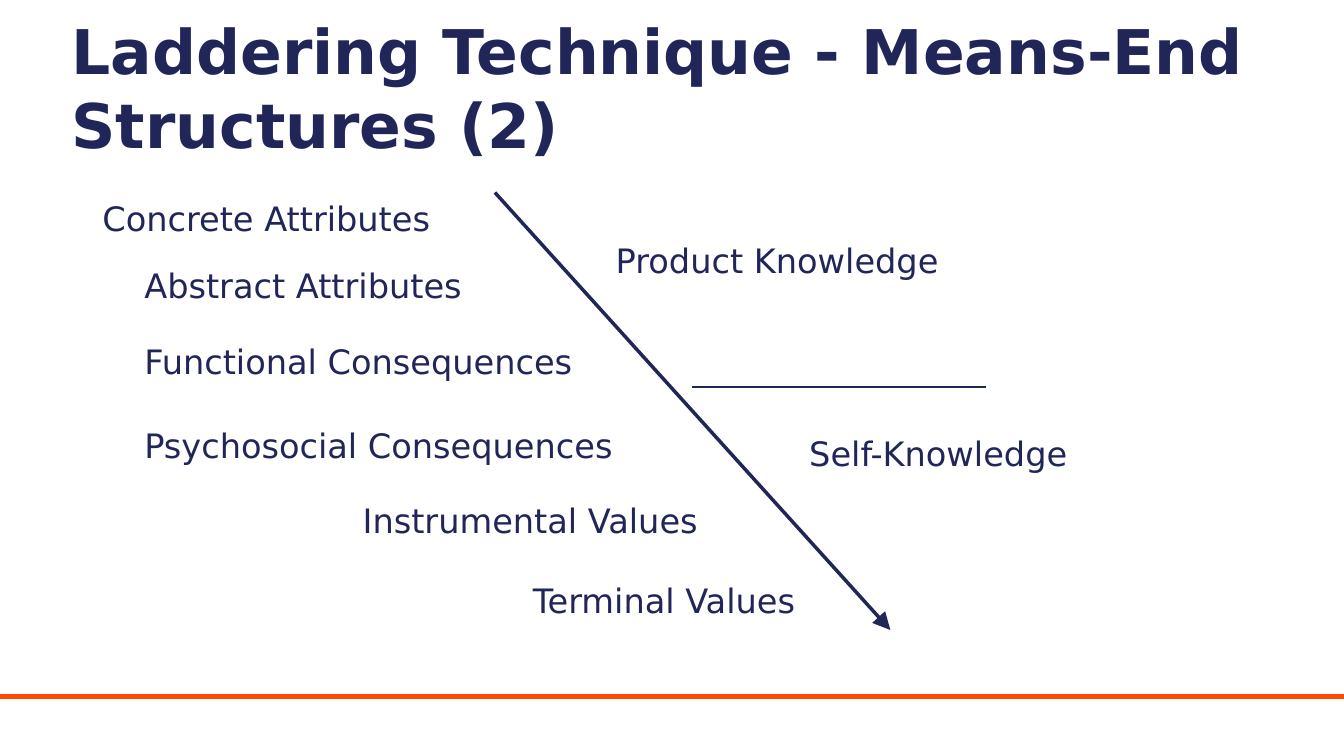
from pptx import Presentation, util as u
from pptx.dml.color import RGBColor
from pptx.enum import shapes, text
from pptx.oxml.ns import qn
from lxml import etree

NAVY = RGBColor(0x21, 0x26, 0x59)
ORANGE = RGBColor(0xFF, 0x4A, 0x00)
COLUMNS, ROWS = 160, 90

presentation = Presentation()
presentation.slide_width = u.Emu(12192000)
presentation.slide_height = u.Inches(7.5)
column = presentation.slide_width / COLUMNS
row = presentation.slide_height / ROWS
slide = presentation.slides.add_slide(presentation.slide_layouts[5])


def place(shape, left, top, width, height):
    frame = {"left": left * column, "top": top * row,
             "width": width * column, "height": height * row}
    for name, value in frame.items():
        setattr(shape, name, u.Emu(round(value)))


def write(shape, words, size, bold, frame_format):
    for name, value in frame_format.items():
        setattr(shape.text_frame, name, value)
    paragraph = shape.text_frame.paragraphs[0]
    paragraph.alignment = text.PP_ALIGN.LEFT
    run = paragraph.add_run()
    run.text = words
    font_format = {"name": "DejaVu Sans", "size": u.Pt(size), "bold": bold}
    for name, value in font_format.items():
        setattr(run.font, name, value)
    run.font.color.rgb = NAVY


title = slide.shapes.title
place(title, 7.32, 0.96, 148.92, 9.96)
title_format = {"word_wrap": True, "auto_size": text.MSO_AUTO_SIZE.NONE,
                "vertical_anchor": text.MSO_ANCHOR.TOP}
write(title, "Laddering Technique - Means-End Structures (2)", 44, True, title_format)

labels = [
    ("Concrete Attributes", 11, 23, 50),
    ("Abstract Attributes", 16, 31, 53),
    ("Functional Consequences", 16, 40, 62),
    ("Psychosocial Consequences", 16, 50, 70),
    ("Instrumental Values", 42, 58.92, 55),
    ("Terminal Values", 62.25, 68.4, 43),
    ("Product Knowledge", 72.12, 28, 52.8),
    ("Self-Knowledge", 95.16, 51, 38.6),
]
label_format = {"word_wrap": True, "auto_size": text.MSO_AUTO_SIZE.SHAPE_TO_FIT_TEXT}
for words, left, top, width in labels:
    label = slide.shapes.add_textbox(0, 0, 0, 0)
    place(label, left, top, width, 6)
    write(label, words, 24, False, label_format)

lines = [
    (0, 82.92, COLUMNS, 82.92, ORANGE, 3, "none"),
    (58.92, 22.92, 106, 75, NAVY, 2.5, "triangle"),
    (82.4, 46.08, 117.4, 46.08, NAVY, 2, "none"),
]
for left, top, right, bottom, color, weight, head in lines:
    connector = slide.shapes.add_connector(
        shapes.MSO_CONNECTOR.STRAIGHT,
        round(left * column), round(top * row),
        round(right * column), round(bottom * row))
    connector.line.color.rgb = color
    connector.line.width = u.Pt(weight)
    etree.SubElement(connector.line._get_or_add_ln(), qn("a:tailEnd"),
                     type=head, w="lg", len="lg")
    etree.SubElement(connector._element.spPr, qn("a:effectLst"))

presentation.save("out.pptx")
